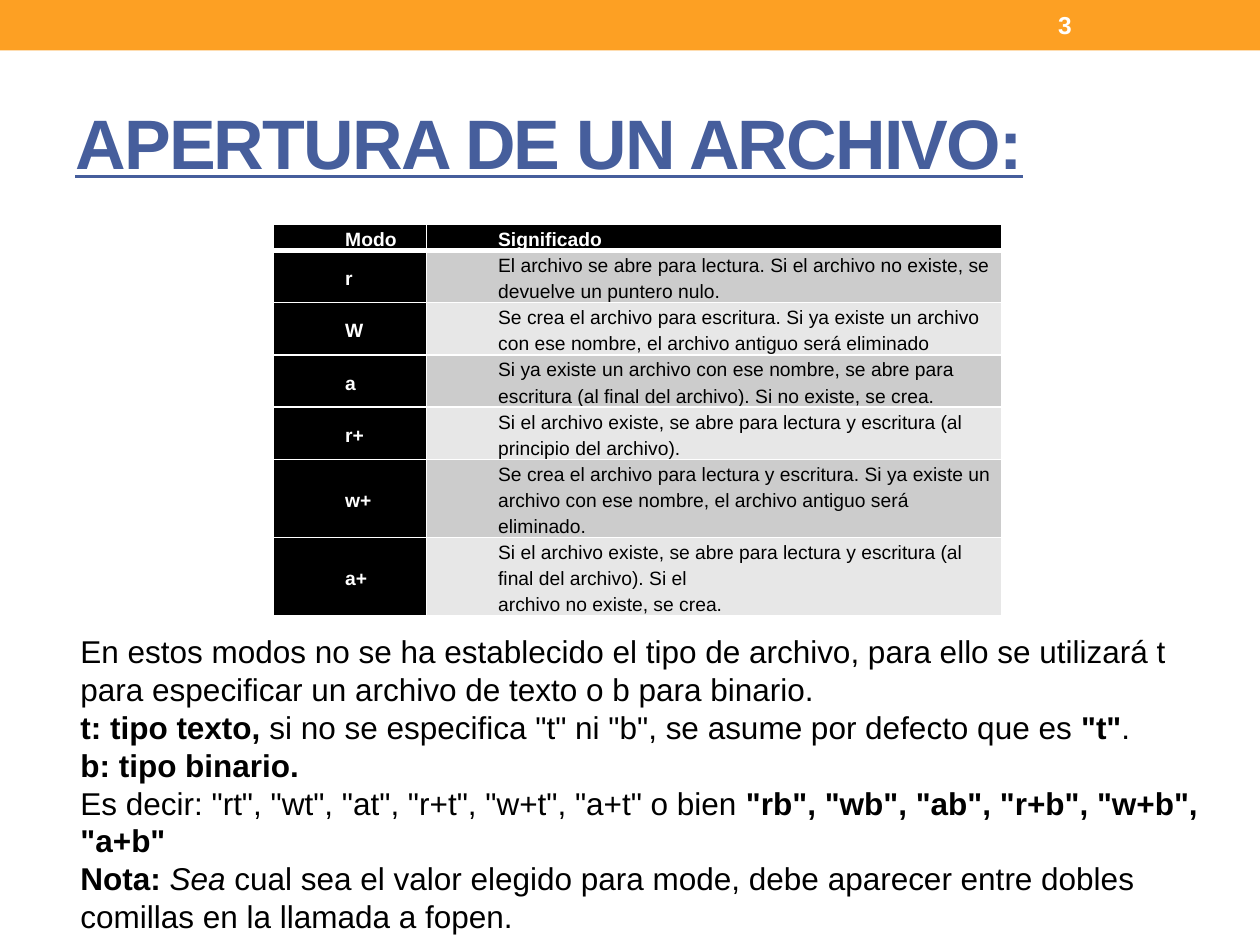
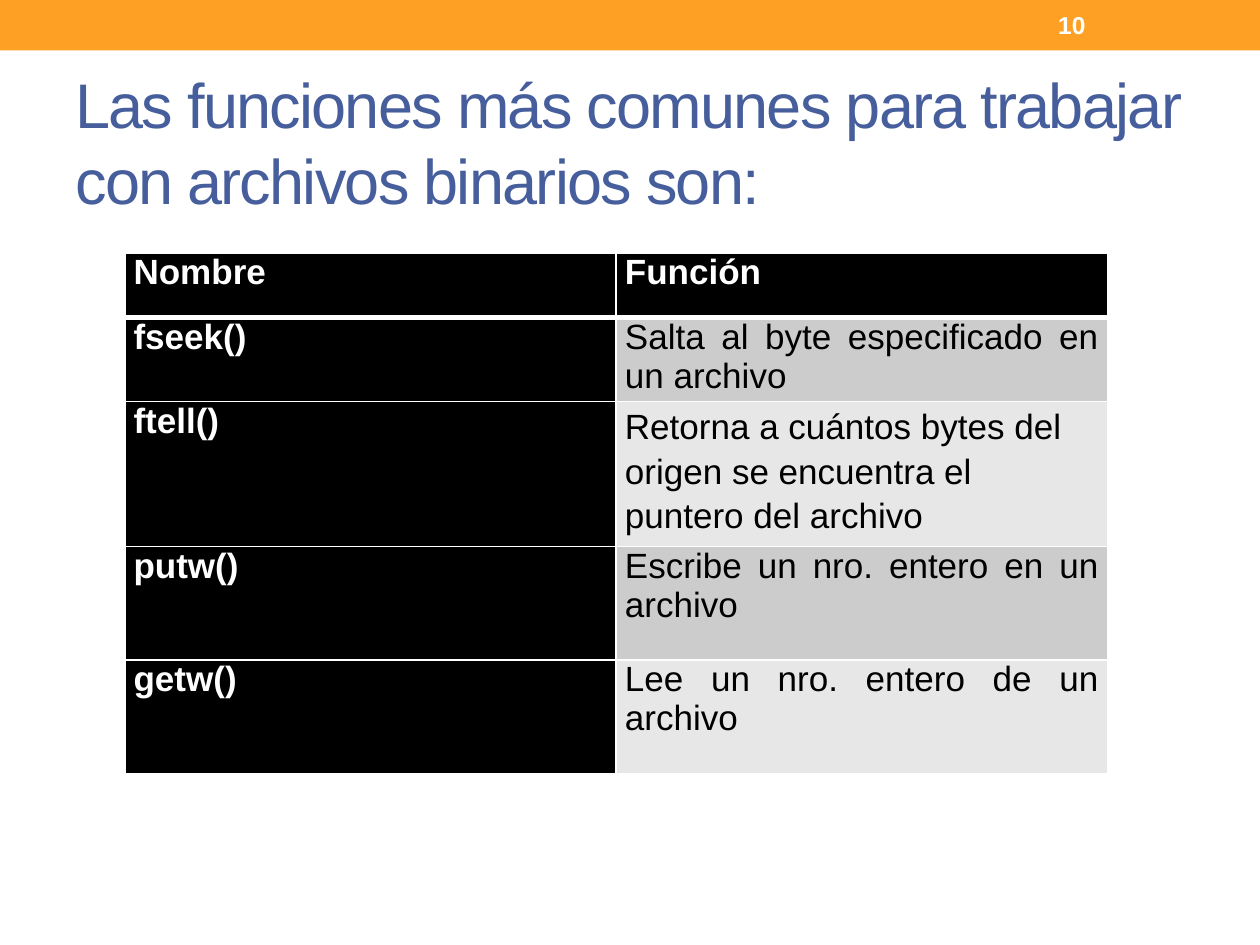
from dataclasses import dataclass

from lxml import etree
from pptx import Presentation
from pptx import util as u
from pptx.dml import color
from pptx.enum import shapes, text
from pptx.oxml import ns

CELL = u.Inches(0.1)
COLUMNS, ROWS = 100, 75
FONT = "Arial"
ORANGE, BLUE, WHITE, BLACK = "FDA023", "465E9C", "FFFFFF", "000000"
STRIPES = ("CCCCCC", "E7E7E7")


@dataclass
class Box:
    left: float
    top: float
    width: float
    height: float

    def inner(self, left, top, width, height):
        return Box(self.left + left * self.width, self.top + top * self.height,
                   width * self.width, height * self.height)

    def lengths(self):
        return [grid(n) for n in (self.left, self.top, self.width, self.height)]


BANNER = Box(0, 0, COLUMNS, 4)
TITLE = Box(5, 5.8, 90, 10.8)

MODES = [
    ("Modo", "Significado", 1),
    ("r", "El archivo se abre para lectura. Si el archivo no existe, se devuelve un puntero nulo.", 2),
    ("W", "Se crea el archivo para escritura. Si ya existe un archivo con ese nombre, "
          "el archivo antiguo será eliminado", 2),
    ("a", "Si ya existe un archivo con ese nombre, se abre para escritura "
          "(al final del archivo). Si no existe, se crea.", 2),
    ("r+", "Si el archivo existe, se abre para lectura y escritura (al principio del archivo).", 2),
    ("w+", "Se crea el archivo para lectura y escritura. Si ya existe un archivo con ese nombre, "
           "el archivo antiguo será eliminado.", 3),
    ("a+", "Si el archivo existe, se abre para lectura y escritura (al final del archivo). "
           "Si el\varchivo no existe, se crea.", 3),
]

FUNCTIONS = [
    ("Nombre", "Función", 5.1),
    ("fseek()", "Salta al byte especificado en un archivo", 6.3),
    ("ftell()", "Retorna a cuántos bytes del origen se encuentra el puntero del archivo", 10.7),
    ("putw()", "Escribe un nro. entero en un archivo", 9),
    ("getw()", "Lee un nro. entero de un archivo", 9),
]

NOTES = [
    [("En estos modos no se ha establecido el tipo de archivo, para ello se utilizará t "
      "para especificar un archivo de texto o b para binario.", "")],
    [("t: tipo texto, ", "b"),
     ('si no se especifica "t" ni "b", se asume por defecto que es ', ""),
     ('"t"', "b"), (".", "")],
    [("b: tipo binario.", "b")],
    [('Es decir: "rt", "wt", "at", "r+t", "w+t", "a+t" o bien ', ""),
     ('"rb", "wb", "ab", "r+b", "w+b", "a+b"', "b")],
    [("Nota: ", "b"), ("Sea ", "i"),
     ("cual sea el valor elegido para mode, debe aparecer entre dobles "
      "comillas en la llamada a fopen.", "")],
]


def grid(count):
    return round(count * CELL)


def paint(target, value):
    if hasattr(target, "solid"):
        target.solid()
        target = target.fore_color
    target.rgb = color.RGBColor.from_string(value)


def style(span, size, ink, bold=False, italic=False):
    span.font.name = FONT
    span.font.size = u.Pt(size)
    span.font.bold = bold
    span.font.italic = italic
    paint(span.font.color, ink)


def text_frame(page, box, anchor=text.MSO_ANCHOR.TOP):
    frame = page.shapes.add_textbox(*box.lengths()).text_frame
    frame.word_wrap = True
    frame.vertical_anchor = anchor
    return frame


def banner(page, box, number):
    band = page.shapes.add_shape(shapes.MSO_SHAPE.RECTANGLE, *box.lengths())
    band.shadow.inherit = False
    paint(band.fill, ORANGE)
    band.line.fill.background()
    frame = text_frame(page, box.inner(0.83, 0.05, 0.12, 0.9), text.MSO_ANCHOR.MIDDLE)
    frame.text = str(number)
    style(frame.paragraphs[0].runs[0], 14, WHITE, bold=True)


def title(page, box, words, size, strong=False):
    frame = text_frame(page, box, text.MSO_ANCHOR.MIDDLE)
    frame.text = words
    span = frame.paragraphs[0].runs[0]
    style(span, size, BLUE, bold=strong)
    span.font.underline = strong
    span._r.get_or_add_rPr().set("spc", "-100")


def borders(cell, row):
    properties = cell._tc.get_or_add_tcPr()
    widths = {"L": 1, "R": 1, "T": 3 if row == 1 else 1, "B": 3 if row == 0 else 1}
    for index, (side, width) in enumerate(widths.items()):
        line = etree.Element(ns.qn(f"a:ln{side}"), w=str(u.Pt(width)))
        fill = etree.SubElement(line, ns.qn("a:solidFill"))
        etree.SubElement(fill, ns.qn("a:srgbClr"), val=WHITE)
        properties.insert(index, line)


def two_column_table(page, box, entries, first_share, row_unit, size):
    table = page.shapes.add_table(len(entries), 2, *box.lengths()).table
    for column, share in zip(table.columns, (first_share, 1 - first_share)):
        column.width = grid(box.width * share)
    for row, (*words, units) in enumerate(entries):
        table.rows[row].height = grid(units * row_unit)
        for column, content in enumerate(words):
            cell = table.cell(row, column)
            dark = row == 0 or column == 0
            cell.margin_left = cell.margin_right = grid(0.7)
            cell.margin_top = cell.margin_bottom = 0
            cell.text = content
            paint(cell.fill, BLACK if dark else STRIPES[(row - 1) % 2])
            borders(cell, row)
            for span in cell.text_frame.paragraphs[0].runs:
                style(span, size, WHITE if dark else BLACK, bold=dark)
    return table


def notes(page, box):
    frame = text_frame(page, box)
    for index, pieces in enumerate(NOTES):
        para = frame.add_paragraph() if index else frame.paragraphs[0]
        for words, marks in pieces:
            span = para.add_run()
            span.text = words
            style(span, 18, BLACK, bold="b" in marks, italic="i" in marks)


def new_page(deck, number):
    page = deck.slides.add_slide(deck.slide_layouts[6])
    banner(page, BANNER, number)
    return page


def modes_slide(deck):
    page = new_page(deck, 3)
    title(page, TITLE, "APERTURA DE UN ARCHIVO:", 40, strong=True)
    table = two_column_table(page, Box(21.7, 17.8, 57.8, 31.05), MODES, 0.21, 2.07, 11)
    for cell in table.iter_cells():
        para = cell.text_frame.paragraphs[0]
        para.line_spacing = u.Pt(14.9)
        para._p.get_or_add_pPr().set("marL", str(grid(5)))
    for row in range(1, len(MODES)):
        table.cell(row, 0).vertical_anchor = text.MSO_ANCHOR.MIDDLE
    notes(page, Box(5.4, 49.7, 92.1, 25.2))


def functions_slide(deck):
    page = new_page(deck, 10)
    title(page, TITLE, "Las funciones más comunes para trabajar con archivos binarios son:", 36)
    table = two_column_table(page, Box(9.9, 20.1, 78, 40.1), FUNCTIONS, 0.5, 1, 20)
    for cell in table.iter_cells():
        cell.text_frame.paragraphs[0].alignment = text.PP_ALIGN.JUSTIFY
    origin = table.cell(2, 1).text_frame.paragraphs[0]
    origin.alignment = text.PP_ALIGN.LEFT
    origin.line_spacing = 1.15


def main():
    deck = Presentation()
    deck.slide_width, deck.slide_height = grid(COLUMNS), grid(ROWS)
    modes_slide(deck)
    functions_slide(deck)
    deck.save("out.pptx")


if __name__ == "__main__":
    main()
